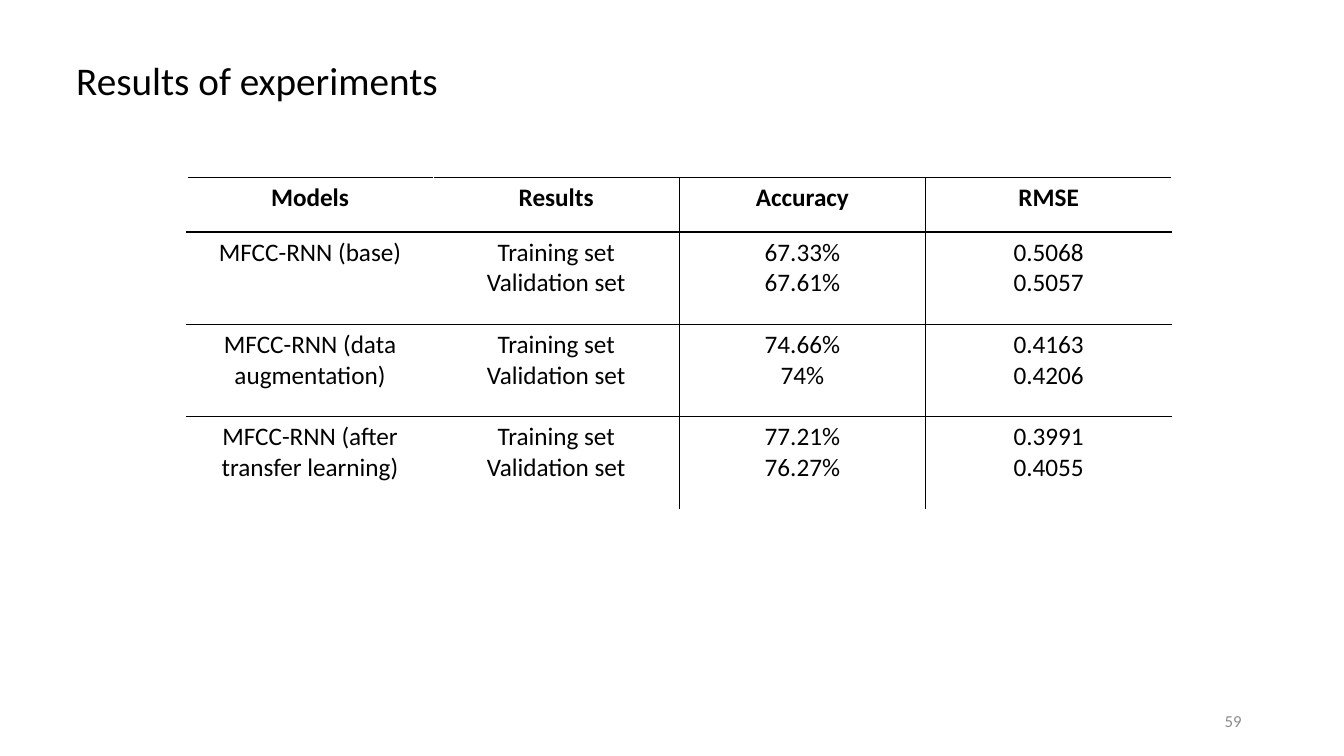
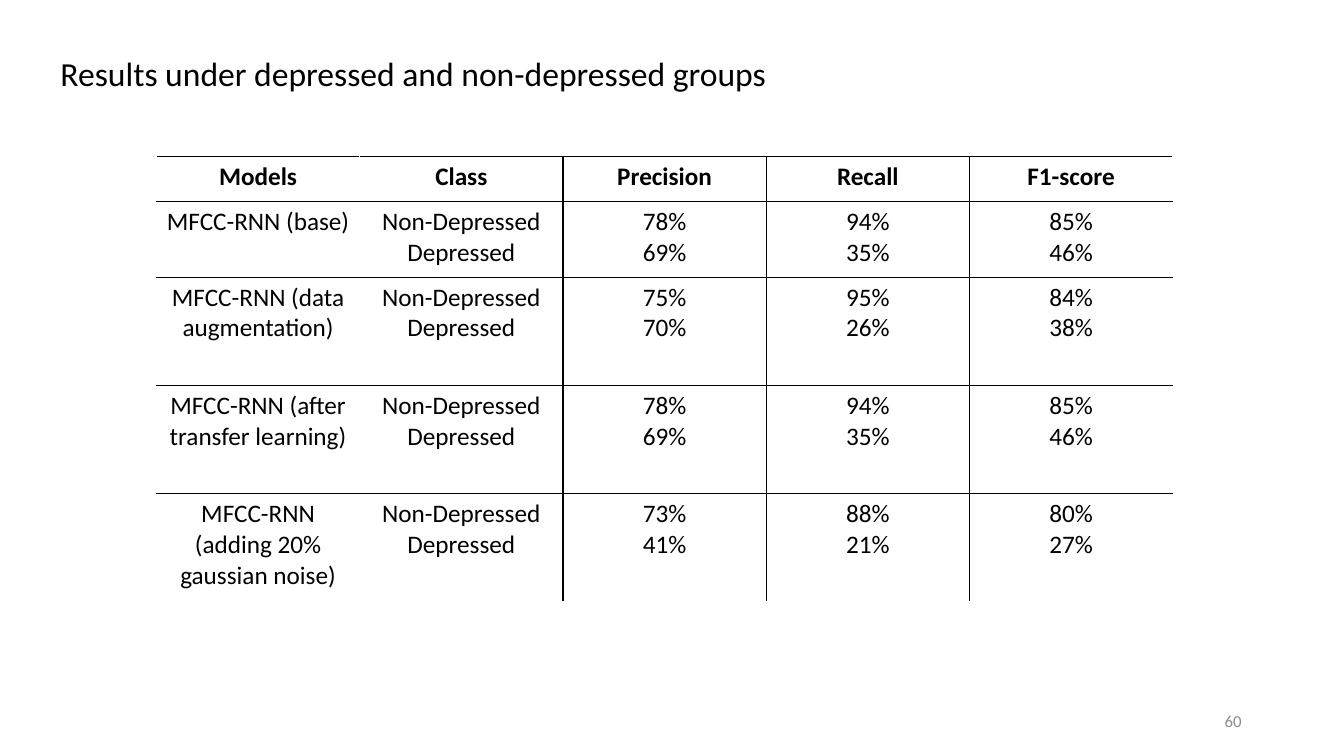
from lxml.etree import SubElement
from pptx import Presentation
from pptx.dml.color import RGBColor
from pptx.enum.text import MSO_ANCHOR, MSO_AUTO_SIZE, PP_ALIGN
from pptx.oxml.ns import qn
from pptx.util import Emu, Pt

SCALE = 9525
FONT = "Calibri"
BLACK, WHITE, GREY = "000000", "FFFFFF", "8C8C8C"
BASE = "MFCC-RNN (base)"
DATA = "MFCC-RNN (data augmentation)"
TRANSFER = "MFCC-RNN (after transfer learning)"
NOISE = "MFCC-RNN (adding 20% gaussian noise)"
SETS = "Training set\nValidation set"
GROUPS = "Non-Depressed\nDepressed"

SCORES = [
    ["Models", "Results", "Accuracy", "RMSE"],
    [BASE, SETS, "67.33%\n67.61%", "0.5068\n0.5057"],
    [DATA, SETS, "74.66%\n74%", "0.4163\n0.4206"],
    [TRANSFER, SETS, "77.21%\n76.27%", "0.3991\n0.4055"],
]
CLASSES = [
    ["Models", "Class", "Precision", "Recall", "F1-score"],
    [BASE, GROUPS, "78%\n69%", "94%\n35%", "85%\n46%"],
    [DATA, GROUPS, "75%\n70%", "95%\n26%", "84%\n38%"],
    [TRANSFER, GROUPS, "78%\n69%", "94%\n35%", "85%\n46%"],
    [NOISE, GROUPS, "73%\n41%", "88%\n21%", "80%\n27%"],
]


def px(count):
    """Turn pixels into EMU."""
    return Emu(round(count * SCALE))


def shade(code):
    """Turn a hex string into a colour."""
    return RGBColor.from_string(code)


def write(frame, text, size=18, color=BLACK, bold=False,
          align=PP_ALIGN.LEFT, anchor=MSO_ANCHOR.TOP):
    """Fill a text frame, one paragraph for each line of text."""
    frame.word_wrap = True
    frame.vertical_anchor = anchor
    for index, line in enumerate(text.split("\n")):
        para = frame.add_paragraph() if index else frame.paragraphs[0]
        para.alignment = align
        run = para.add_run()
        run.text = line
        run.font.name, run.font.size, run.font.bold = FONT, Pt(size), bold
        run.font.color.rgb = shade(color)


def place(shape, box):
    """Move and size a shape to a box in pixels."""
    shape.left, shape.top, shape.width, shape.height = map(px, box)


def add_page(deck, title, box, size, number):
    """Add a slide with its title and page number."""
    slide = deck.slides.add_slide(deck.slide_layouts[5])
    head = slide.shapes.title
    place(head, box)
    head.text_frame.auto_size = MSO_AUTO_SIZE.NONE
    write(head.text_frame, title, size=size)
    foot = slide.shapes.add_textbox(*map(px, (904, 667, 288, 38)))
    write(foot.text_frame, str(number), size=12, color=GREY,
          align=PP_ALIGN.RIGHT, anchor=MSO_ANCHOR.MIDDLE)
    return slide


def rule(cell, **sides):
    """Draw the borders of a cell, given as side=colour in schema order."""
    props = cell._tc.get_or_add_tcPr()
    for side, color in sides.items():
        line = SubElement(props, qn(f"a:ln{side}"), w=str(Pt(1)))
        fill = SubElement(line, qn("a:solidFill"))
        SubElement(fill, qn("a:srgbClr"), val=color)


def add_grid(slide, rows, left, top, width, heights):
    """Add a table ruled only between rows and between score columns."""
    count = len(rows[0])
    frame = slide.shapes.add_table(
        len(rows), count, *map(px, (left, top, width, sum(heights))))
    table = frame.table
    table.first_row = table.horz_banding = False
    for col in table.columns:
        col.width = px(width / count)
    for r, (row, height) in enumerate(zip(rows, heights)):
        table.rows[r].height = px(height)
        for c, text in enumerate(row):
            cell = table.cell(r, c)
            write(cell.text_frame, text, bold=r == 0, align=PP_ALIGN.CENTER)
            rule(cell,
                 L=WHITE if c < 2 else BLACK,
                 R=WHITE if c in (0, count - 1) else BLACK,
                 T=BLACK,
                 B=WHITE if r == len(rows) - 1 else BLACK)
            cell.fill.background()


def main():
    """Build and save the two result slides."""
    deck = Presentation()
    deck.slide_width, deck.slide_height = px(1280), px(720)
    page = add_page(deck, "Results of experiments",
                    (63, 49, 535, 55), 28, 59)
    add_grid(page, SCORES, 178, 169, 938, [52] + [88] * 3)
    page = add_page(deck, "Results under depressed and non-depressed groups",
                    (48, 46, 765, 48), 24, 60)
    add_grid(page, CLASSES, 149, 149, 968, [43, 72] + [103] * 3)
    deck.save("out.pptx")


if __name__ == "__main__":
    main()
